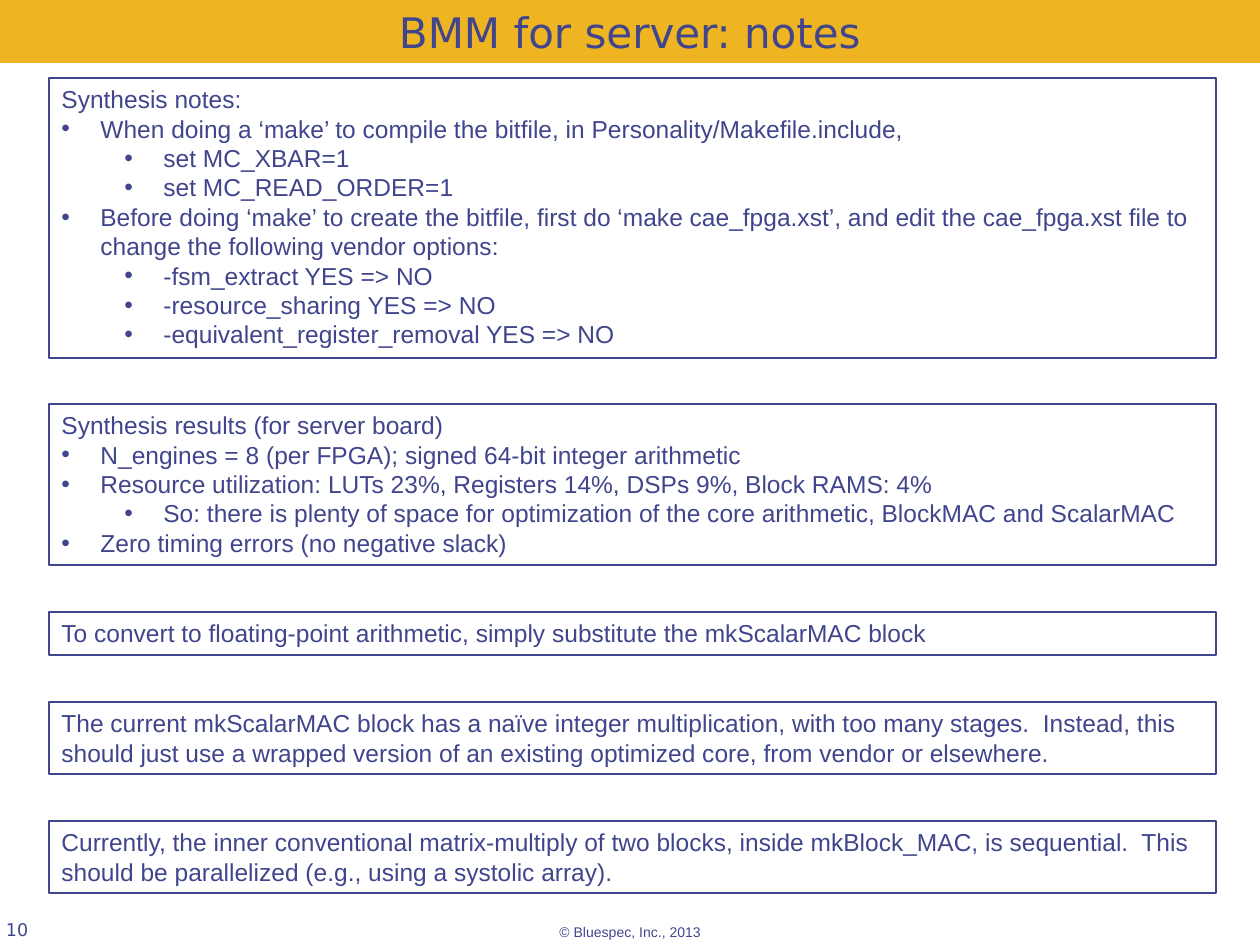
from pptx import Presentation
from pptx.dml.color import RGBColor as Rgb
from pptx.enum.text import MSO_ANCHOR as Anchor, MSO_AUTO_SIZE as AutoSize, PP_ALIGN as Align
from pptx.oxml.ns import qn
from pptx.util import Emu, Pt
from lxml.etree import SubElement

SCALE = 914400 / 126
COLORS = {"ink": "40458C", "band": "EEB422"}
INDENTS = {1: 39, 2: 102}
HANGING = -39
BOX_LEFT, BOX_WIDTH = 49, 1167

NOTES = [
    (78, 280, [
        (0, "Synthesis notes:"),
        (1, "When doing a ‘make’ to compile the bitfile, in Personality/Makefile.include,"),
        (2, "set MC_XBAR=1"),
        (2, "set MC_READ_ORDER=1"),
        (1, "Before doing ‘make’ to create the bitfile, first do ‘make cae_fpga.xst’, "
            "and edit the cae_fpga.xst file to change the following vendor options:"),
        (2, "-fsm_extract YES => NO"),
        (2, "-resource_sharing YES => NO"),
        (2, "-equivalent_register_removal YES => NO"),
    ]),
    (404, 161, [
        (0, "Synthesis results (for server board)"),
        (1, "N_engines = 8 (per FPGA); signed 64-bit integer arithmetic"),
        (1, "Resource utilization: LUTs 23%, Registers 14%, DSPs 9%, Block RAMS: 4%"),
        (2, "So: there is plenty of space for optimization of the core arithmetic, "
            "BlockMAC and ScalarMAC"),
        (1, "Zero timing errors (no negative slack)"),
    ]),
    (612, 43, [
        (0, "To convert to floating-point arithmetic, simply substitute the mkScalarMAC block"),
    ]),
    (702, 72, [
        (0, "The current mkScalarMAC block has a naïve integer multiplication, with too many "
            "stages.  Instead, this should just use a wrapped version of an existing "
            "optimized core, from vendor or elsewhere."),
    ]),
    (821, 72, [
        (0, "Currently, the inner conventional matrix-multiply of two blocks, inside "
            "mkBlock_MAC, is sequential.  This should be parallelized "
            "(e.g., using a systolic array)."),
    ]),
]


def px(length):
    """Turn a length in px into EMU."""
    return Emu(round(length * SCALE))


def apply(target, values):
    """Set every attribute named in a dict of format values."""
    for name, value in values.items():
        setattr(target, name, value)


def place(box, left, top, width, height):
    """Move and size a box given in px."""
    apply(box, {"left": px(left), "top": px(top), "width": px(width), "height": px(height)})


def write(para, text, size, font="Arial"):
    """Put text in a paragraph in the ink colour."""
    span = para.add_run()
    span.text = text
    apply(span.font, {"size": Pt(size), "name": font})
    span.font.color.rgb = Rgb.from_string(COLORS["ink"])


def add_bullet(para, level):
    """Give a paragraph a hanging bullet at its level."""
    para.level = level - 1
    properties = para._p.get_or_add_pPr()
    properties.set("marL", str(px(INDENTS[level])))
    properties.set("indent", str(px(HANGING)))
    SubElement(properties, qn("a:buFont"), typeface="Arial")
    SubElement(properties, qn("a:buChar"), char="•")


def add_title(page, text):
    """Format the title placeholder as a coloured band."""
    title = page.shapes.title
    place(title, 0, 0, 1260, 63)
    title.fill.solid()
    title.fill.fore_color.rgb = Rgb.from_string(COLORS["band"])
    apply(title.text_frame, {
        "margin_left": 0, "margin_right": 0, "vertical_anchor": Anchor.BOTTOM,
        "word_wrap": True, "auto_size": AutoSize.NONE,
    })
    para = title.text_frame.paragraphs[0]
    para.alignment = Align.CENTER
    write(para, text, 24, "DejaVu Sans")


def add_note(page, top, height, lines):
    """Add an outlined note box with plain and bulleted lines."""
    box = page.shapes.add_textbox(0, 0, 0, 0)
    place(box, BOX_LEFT, top, BOX_WIDTH, height)
    box.line.color.rgb = Rgb.from_string(COLORS["ink"])
    box.line.width = Pt(0.75)
    frame = box.text_frame
    apply(frame, {"word_wrap": True, "auto_size": AutoSize.SHAPE_TO_FIT_TEXT})
    for index, (level, text) in enumerate(lines):
        para = frame.add_paragraph() if index else frame.paragraphs[0]
        if level:
            add_bullet(para, level)
        write(para, text, 14)


def add_label(page, bounds, text, size, font, frame_values):
    """Add a one-line label."""
    box = page.shapes.add_textbox(0, 0, 0, 0)
    place(box, *bounds)
    apply(box.text_frame, frame_values)
    write(box.text_frame.paragraphs[0], text, size, font)


def main():
    """Build and save the slide."""
    deck = Presentation()
    apply(deck, {"slide_width": px(1260), "slide_height": px(945)})
    page = deck.slides.add_slide(deck.slide_layouts[5])
    add_title(page, "BMM for server: notes")
    for top, height, lines in NOTES:
        add_note(page, top, height, lines)
    add_label(page, (6, 877, 262, 63), "10", 10, "DejaVu Sans", {
        "margin_left": 0, "margin_right": 0, "margin_top": 0, "margin_bottom": 0,
        "vertical_anchor": Anchor.BOTTOM, "word_wrap": True,
    })
    add_label(page, (547, 917, 168, 30), "© Bluespec, Inc., 2013", 8, "Arial", {
        "word_wrap": False, "auto_size": AutoSize.SHAPE_TO_FIT_TEXT,
    })
    deck.save("out.pptx")


if __name__ == "__main__":
    main()
